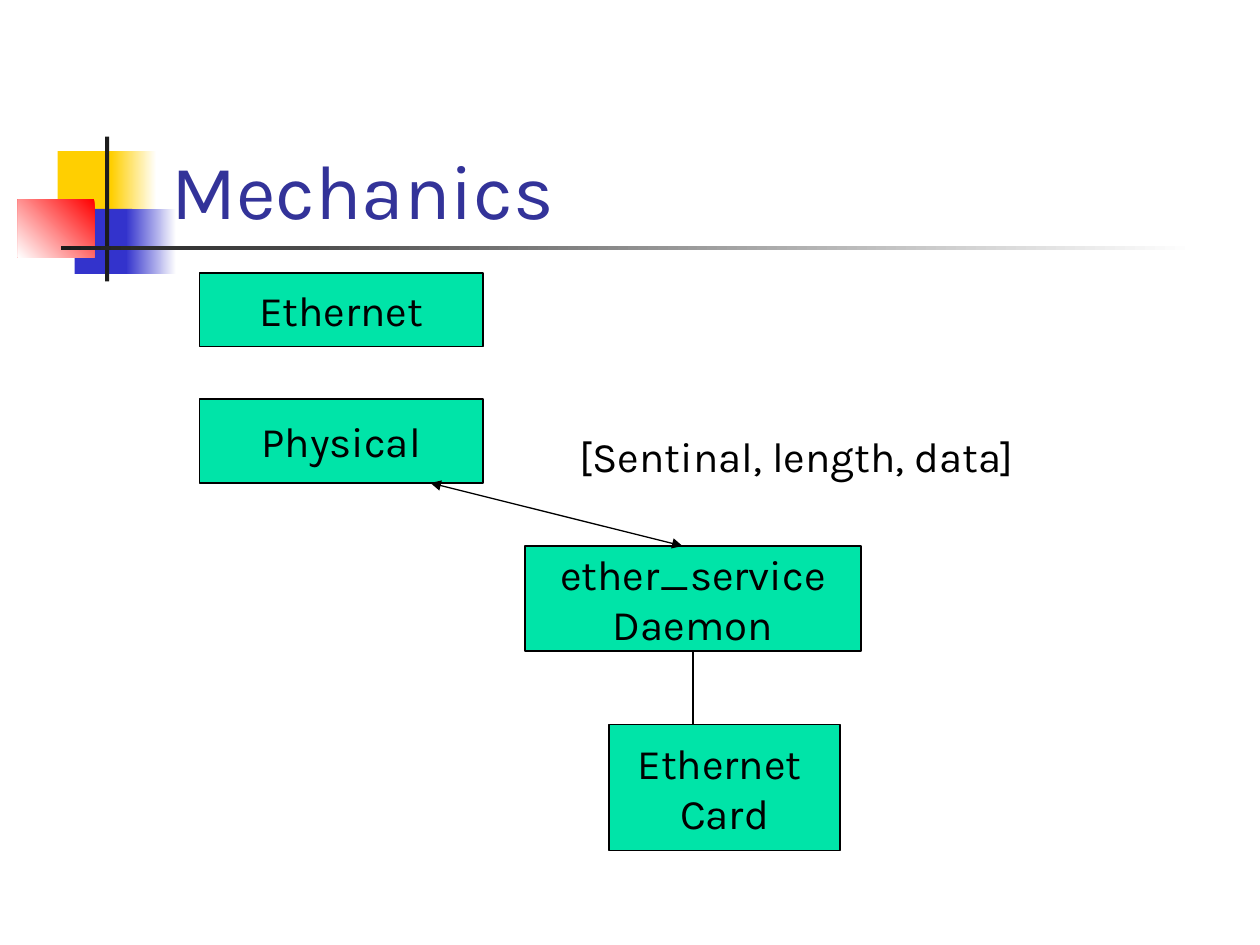
from pptx import Presentation
from pptx.dml.color import RGBColor as RGB
from pptx.enum.shapes import MSO_CONNECTOR as LINE, MSO_SHAPE as SHAPE
from pptx.enum.text import MSO_ANCHOR as ANCHOR, MSO_AUTO_SIZE as FIT, PP_ALIGN as ALIGN
from pptx.oxml.ns import qn
from pptx.util import Pt
from lxml.etree import SubElement

PX = 7620  # EMU: 120 px to the inch
FONT = "Karla"
WHITE = RGB(0xFF, 0xFF, 0xFF)
BLACK = RGB(0, 0, 0)
DARK = RGB(0x1C, 0x1C, 0x1C)
GOLD = RGB(0xFF, 0xCF, 0x01)
BLUE = RGB(0x33, 0x33, 0xCC)
RED = RGB(0xFF, 0, 0)
NAVY = RGB(0x33, 0x33, 0x99)
GREEN = RGB(0, 0xE4, 0xA8)


def px(*sizes):
    return [size * PX for size in sizes]


def write(frame, lines, size, color, align):
    for i, line in enumerate(lines):
        para = frame.add_paragraph() if i else frame.paragraphs[0]
        para.alignment = align
        run = para.add_run()
        run.text = line
        run.font.name = FONT
        run.font.size = Pt(size)
        run.font.color.rgb = color


def add_rect(slide, x, y, w, h):
    rect = slide.shapes.add_shape(SHAPE.RECTANGLE, *px(x, y, w, h))
    rect.shadow.inherit = False
    return rect


def add_block(slide, x, y, w, h, colors, angle=180):
    """Draw a borderless block, plain for one colour, a gradient for two."""
    block = add_rect(slide, x, y, w, h)
    block.line.fill.background()
    fill = block.fill
    if len(colors) == 1:
        fill.solid()
        fill.fore_color.rgb = colors[0]
        return
    fill.gradient()
    fill.gradient_angle = angle
    for stop, color, at in zip(fill.gradient_stops, colors, (0, 1)):
        stop.color.rgb = color
        stop.position = at


def add_motif(slide, x, y):
    """Draw the coloured squares and the crossing rules."""
    add_block(slide, x + 38, y + 14, 58, 62, [GOLD])
    add_block(slide, x + 89, y + 14, 43, 62, [WHITE, GOLD])
    add_block(slide, x + 54, y + 69, 55, 62, [BLUE])
    add_block(slide, x + 103, y + 69, 48, 62, [WHITE, BLUE])
    add_block(slide, x, y + 60, 73, 55, [RED, WHITE], 225)
    add_block(slide, x + 83, y, 4, 138, [DARK])
    add_block(slide, x + 41, y + 104, 1080, 4, [WHITE, DARK])


def set_title(slide, text, x, y, w, h):
    title = slide.shapes.title
    title.left, title.top, title.width, title.height = px(x, y, w, h)
    title.text_frame.vertical_anchor = ANCHOR.BOTTOM
    write(title.text_frame, [text], 44, NAVY, ALIGN.LEFT)
    tree = title._element.getparent()
    tree.append(title._element)  # in front of the motif


def add_box(slide, lines, x, y, w, h):
    box = add_rect(slide, x, y, w, h)
    box.fill.solid()
    box.fill.fore_color.rgb = GREEN
    box.line.color.rgb = BLACK
    box.line.width = Pt(0.75)
    box.text_frame.word_wrap = False
    box.text_frame.vertical_anchor = ANCHOR.MIDDLE
    write(box.text_frame, lines, 24, BLACK, ALIGN.CENTER)
    return box


def add_link(slide, x1, y1, x2, y2, arrows=False):
    link = slide.shapes.add_connector(LINE.STRAIGHT, *px(x1, y1, x2, y2))
    link.line.color.rgb = BLACK
    link.line.width = Pt(0.75)
    props = link._element.spPr
    if arrows:
        for end in ("a:headEnd", "a:tailEnd"):
            SubElement(props.find(qn("a:ln")), qn(end), type="triangle")
    SubElement(props, qn("a:effectLst"))
    return link


def add_stack(slide, x, y):
    """Draw the layers, the daemon and the card with their links."""
    daemon = add_box(slide, ["ether_service", "Daemon"], x + 310, y + 260, 320, 100)
    add_box(slide, ["Physical"], x, y + 120, 270, 80)
    add_box(slide, ["Ethernet ", "Card"], x + 390, y + 430, 220, 120)
    wire = add_link(slide, x + 470, y + 360, x + 470, y + 430)
    wire.begin_connect(daemon, 2)
    add_link(slide, x + 220, y + 200, x + 460, y + 260, arrows=True)
    add_box(slide, ["Ethernet"], x, y, 270, 70)
    note = slide.shapes.add_textbox(*px(x + 350, y + 144, 449, 60))
    note.text_frame.word_wrap = False
    note.text_frame.auto_size = FIT.SHAPE_TO_FIT_TEXT
    write(note.text_frame, ["[Sentinal, length, data]"], 24, BLACK, ALIGN.LEFT)


def main():
    deck = Presentation()
    deck.slide_width, deck.slide_height = px(1200, 900)
    slide = deck.slides.add_slide(deck.slide_layouts[5])
    add_motif(slide, 17, 130)
    set_title(slide, "Mechanics", 151, 80, 1022, 150)
    add_stack(slide, 190, 260)
    deck.save("out.pptx")


if __name__ == "__main__":
    main()
